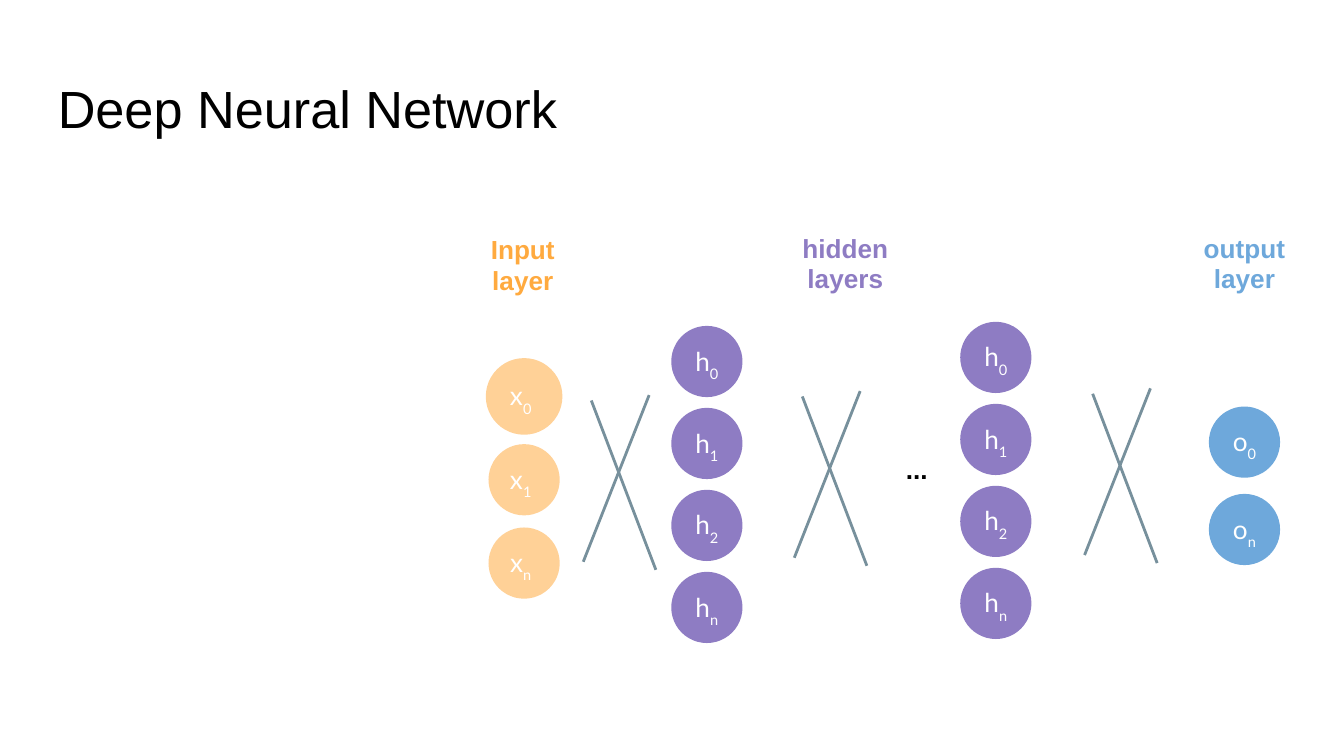
from lxml import etree
from pptx import Presentation
from pptx.dml.color import RGBColor
from pptx.enum.shapes import MSO_CONNECTOR, MSO_SHAPE
from pptx.enum.text import MSO_ANCHOR, MSO_AUTO_SIZE, PP_ALIGN
from pptx.oxml.ns import qn
from pptx.util import Inches, Pt

OVAL = MSO_SHAPE.OVAL
STRAIGHT = MSO_CONNECTOR.STRAIGHT
TOP, MIDDLE = MSO_ANCHOR.TOP, MSO_ANCHOR.MIDDLE
LEFT, CENTER = PP_ALIGN.LEFT, PP_ALIGN.CENTER

COLORS = {
    "input": "FFAA3F",
    "hidden": "8E7CC3",
    "output": "6EA8DB",
    "cross": "77909C",
    "text": "000000",
    "node": "FFFFFF",
}

TITLE = "Deep Neural Network"
LAYERS = [
    {"kind": "input", "letter": "x", "subs": "01n", "cx": 3.9, "cy": 2.95, "pitch": 0.62},
    {"kind": "hidden", "letter": "h", "subs": "012n", "cx": 5.26, "cy": 2.69, "pitch": 0.61},
    {"kind": "hidden", "letter": "h", "subs": "012n", "cx": 7.41, "cy": 2.66, "pitch": 0.61},
    {"kind": "output", "letter": "o", "subs": "0n", "cx": 9.26, "cy": 3.29, "pitch": 0.65},
]
HEADINGS = [
    ("Input layer", "input", 3.89, 1.71),
    ("hidden layers", "hidden", 6.29, 1.7),
    ("output layer", "output", 9.26, 1.7),
]
CROSSES = [(4.34, 2.94), (5.91, 2.91), (8.07, 2.89)]
CROSS_LINES = [(0, 1.24, 0.49, 0), (0.54, 1.3, 0.06, 0.04)]

DIAMETER, FIRST_INPUT_DIAMETER = 0.53, 0.57
HEADING_W, HEADING_H = 0.7, 0.49


def rgb(name):
    return RGBColor.from_string(COLORS[name])


def set_frame(tf, anchor, wrap):
    tf.margin_left = tf.margin_top = tf.margin_right = tf.margin_bottom = 0
    tf.auto_size = MSO_AUTO_SIZE.NONE
    tf.vertical_anchor = anchor
    tf.word_wrap = wrap


def style(p, size, color, font="Arial", bold=False, align=LEFT):
    p.alignment = align
    p.font.size = Pt(size)
    p.font.name = font
    p.font.bold = bold
    p.font.color.rgb = rgb(color)


def add_text(slide, text, x, y, w, h, color, align=LEFT):
    tf = slide.shapes.add_textbox(Inches(x), Inches(y), Inches(w), Inches(h)).text_frame
    set_frame(tf, TOP, True)
    p = tf.paragraphs[0]
    p.text = text
    style(p, 14, color, bold=True, align=align)
    return tf


def add_node(slide, kind, letter, sub, cx, cy, d):
    sp = slide.shapes.add_shape(
        OVAL, Inches(cx - d / 2), Inches(cy - d / 2), Inches(d), Inches(d))
    sp.shadow.inherit = False
    sp.line.fill.background()
    sp.fill.solid()
    sp.fill.fore_color.rgb = rgb(kind)
    tf = sp.text_frame
    set_frame(tf, MIDDLE, False)
    tf.margin_top = Inches(0.03)
    if kind == "input":
        color = sp._element.spPr.find(qn("a:solidFill"))[0]
        etree.SubElement(color, qn("a:alpha")).set("val", "54000")
        tf.margin_right = Inches(0.05)
    p = tf.paragraphs[0]
    p.add_run().text = letter
    r = p.add_run()
    r.text = sub
    style(p, 14, "node", "Lato", align=CENTER)
    r.font.size = Pt(13.5)
    r._r.get_or_add_rPr().set("baseline", "-32000")


def add_cross(slide, x, y):
    for x1, y1, x2, y2 in CROSS_LINES:
        line = slide.shapes.add_connector(
            STRAIGHT, Inches(x + x1), Inches(y + y1), Inches(x + x2), Inches(y + y2))
        line.line.color.rgb = rgb("cross")
        line.line.width = Pt(1.5)
        etree.SubElement(line._element.spPr, qn("a:effectLst"))


def main():
    prs = Presentation()
    prs.slide_width = Inches(10)
    prs.slide_height = prs.slide_width * 9 // 16
    slide = prs.slides.add_slide(prs.slide_layouts[5])

    title = slide.shapes.title
    title.left, title.top = Inches(0.43), Inches(0.57)
    title.width, title.height = Inches(7.9), Inches(0.49)
    title.text_frame.text = TITLE
    set_frame(title.text_frame, TOP, True)
    style(title.text_frame.paragraphs[0], 28, "text")

    for layer in LAYERS:
        for i, sub in enumerate(layer["subs"]):
            first_input = layer["kind"] == "input" and i == 0
            d = FIRST_INPUT_DIAMETER if first_input else DIAMETER
            add_node(slide, layer["kind"], layer["letter"], sub,
                     layer["cx"], layer["cy"] + i * layer["pitch"], d)

    for text, kind, cx, y in HEADINGS:
        tf = add_text(slide, text, cx - HEADING_W / 2, y, HEADING_W, HEADING_H, kind, CENTER)
        tf.margin_top = Inches(0.03)
        tf.paragraphs[0].line_spacing = Pt(16.5)

    add_text(slide, "...", 6.74, 3.37, 0.25, 0.26, "text")
    for x, y in CROSSES:
        add_cross(slide, x, y)

    prs.save("out.pptx")


if __name__ == "__main__":
    main()
